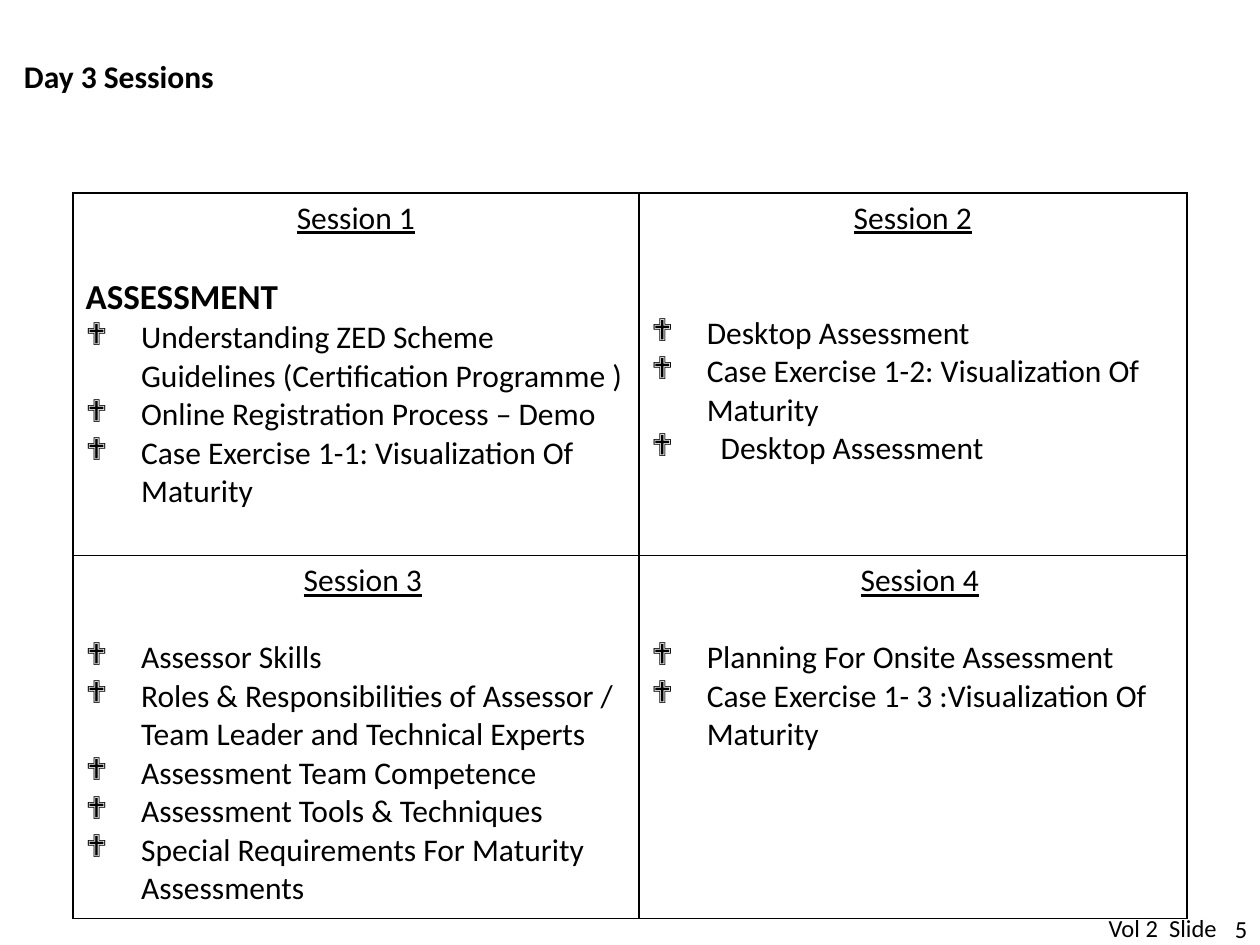
from lxml import etree
from pptx import Presentation
from pptx.dml.color import RGBColor
from pptx.enum.text import MSO_ANCHOR, MSO_AUTO_SIZE, PP_ALIGN
from pptx.oxml.ns import qn
from pptx.util import Inches, Pt

LEFT, CENTER, RIGHT = PP_ALIGN.LEFT, PP_ALIGN.CENTER, PP_ALIGN.RIGHT
TOP, BOTTOM = MSO_ANCHOR.TOP, MSO_ANCHOR.BOTTOM
COLORS = {"text": "000000", "line": "000000", "paper": "FFFFFF"}
FONT = "Calibri"
LINE = 22        # height of one 18 pt line, in points
HANG = 0.44      # hanging indent of the bullets, in inches
NUDGE = 0.11     # small extra indent, in inches

TITLE = "Day 3 Sessions"
# Each session: name, heading indent, subheading, lines left free, items (text, extra indent)
SESSIONS = [
    [("Session 1", 0, "ASSESSMENT", 1, [
        ("Understanding ZED Scheme Guidelines (Certification Programme )", 0),
        ("Online Registration Process – Demo", 0),
        ("Case Exercise 1-1: Visualization Of Maturity", 0)]),
     ("Session 2", 0, None, 2, [
        ("Desktop Assessment", 0),
        ("Case Exercise 1-2: Visualization Of Maturity", 0),
        ("Desktop Assessment", NUDGE)])],
    [("Session 3", NUDGE, None, 1, [
        ("Assessor Skills", 0),
        ("Roles & Responsibilities of Assessor / Team Leader and Technical Experts", 0),
        ("Assessment Team Competence", 0),
        ("Assessment Tools & Techniques", 0),
        ("Special Requirements For Maturity Assessments", 0)]),
     ("Session 4", NUDGE, None, 1, [
        ("Planning For Onsite Assessment", 0),
        ("Case Exercise 1- 3 :Visualization Of Maturity", 0)])],
]
COL_WIDTHS = [4.49, 4.35]
ROW_HEIGHT = 2.88
# Footer boxes: text, left, top, width, height, alignment, anchor, has insets
FOOTERS = [
    ("5", 9.53, 7.25, 0.37, 0.24, RIGHT, BOTTOM, False),
    ("Vol 2  Slide", 8.7, 7.2, 1.07, 0.34, LEFT, TOP, True),
]


def write(p, text, size=18, align=LEFT, bold=False, underline=False):
    p.text = text
    p.alignment = align
    for r in p.runs:
        f = r.font
        f.name, f.size, f.bold, f.underline = FONT, Pt(size), bold, underline
        f.color.rgb = RGBColor.from_string(COLORS["text"])


def indent(p, margin, first=0):
    pPr = p._p.get_or_add_pPr()
    pPr.set("marL", str(Inches(margin)))
    pPr.set("indent", str(Inches(first)))
    return pPr


def add_bullet(p, margin):
    pPr = indent(p, margin, -margin)
    etree.SubElement(pPr, qn("a:buFont")).set("typeface", "Wingdings")
    etree.SubElement(pPr, qn("a:buChar")).set("char", "❖")


def add_borders(cell):
    tcPr = cell._tc.get_or_add_tcPr()
    for side in ("a:lnL", "a:lnR", "a:lnT", "a:lnB"):
        ln = etree.SubElement(tcPr, qn(side))
        ln.set("w", str(Pt(1)))
        fill = etree.SubElement(ln, qn("a:solidFill"))
        etree.SubElement(fill, qn("a:srgbClr")).set("val", COLORS["line"])


def clear_insets(tf):
    tf.margin_left = tf.margin_right = tf.margin_top = tf.margin_bottom = 0


def fill_cell(cell, name, shift, subheading, free_lines, items):
    add_borders(cell)
    cell.fill.solid()
    cell.fill.fore_color.rgb = RGBColor.from_string(COLORS["paper"])
    tf = cell.text_frame
    write(tf.paragraphs[0], name, align=CENTER, underline=True)
    indent(tf.paragraphs[0], shift)
    if subheading:
        write(tf.add_paragraph(), subheading, size=20, bold=True)
    for text, extra in items:
        p = tf.add_paragraph()
        add_bullet(p, HANG + extra)
        write(p, text)
    tf.paragraphs[1].space_before = Pt(free_lines * LINE)


prs = Presentation()
prs.slide_width, prs.slide_height = Inches(10), Inches(7.5)
s = prs.slides.add_slide(prs.slide_layouts[5])

title = s.shapes.title
title.left, title.top, title.width, title.height = map(Inches, (0.19, 0.45, 7.65, 0.3))
tf = title.text_frame
clear_insets(tf)
tf.vertical_anchor = BOTTOM
tf.auto_size = MSO_AUTO_SIZE.NONE
write(tf.paragraphs[0], TITLE, bold=True)

for text, x, y, w, h, align, anchor, has_insets in FOOTERS:
    tf = s.shapes.add_textbox(Inches(x), Inches(y), Inches(w), Inches(h)).text_frame
    tf.word_wrap = True
    tf.vertical_anchor = anchor
    if not has_insets:
        clear_insets(tf)
    write(tf.paragraphs[0], text, size=14, align=align)

table = s.shapes.add_table(
    len(SESSIONS), len(COL_WIDTHS), Inches(0.58), Inches(1.53),
    Inches(sum(COL_WIDTHS)), Inches(ROW_HEIGHT * len(SESSIONS))).table
table.first_row = table.horz_banding = False
for column, width in zip(table.columns, COL_WIDTHS):
    column.width = Inches(width)
for i, row in enumerate(SESSIONS):
    table.rows[i].height = Inches(ROW_HEIGHT)
    for j, session in enumerate(row):
        fill_cell(table.cell(i, j), *session)

prs.save("out.pptx")
